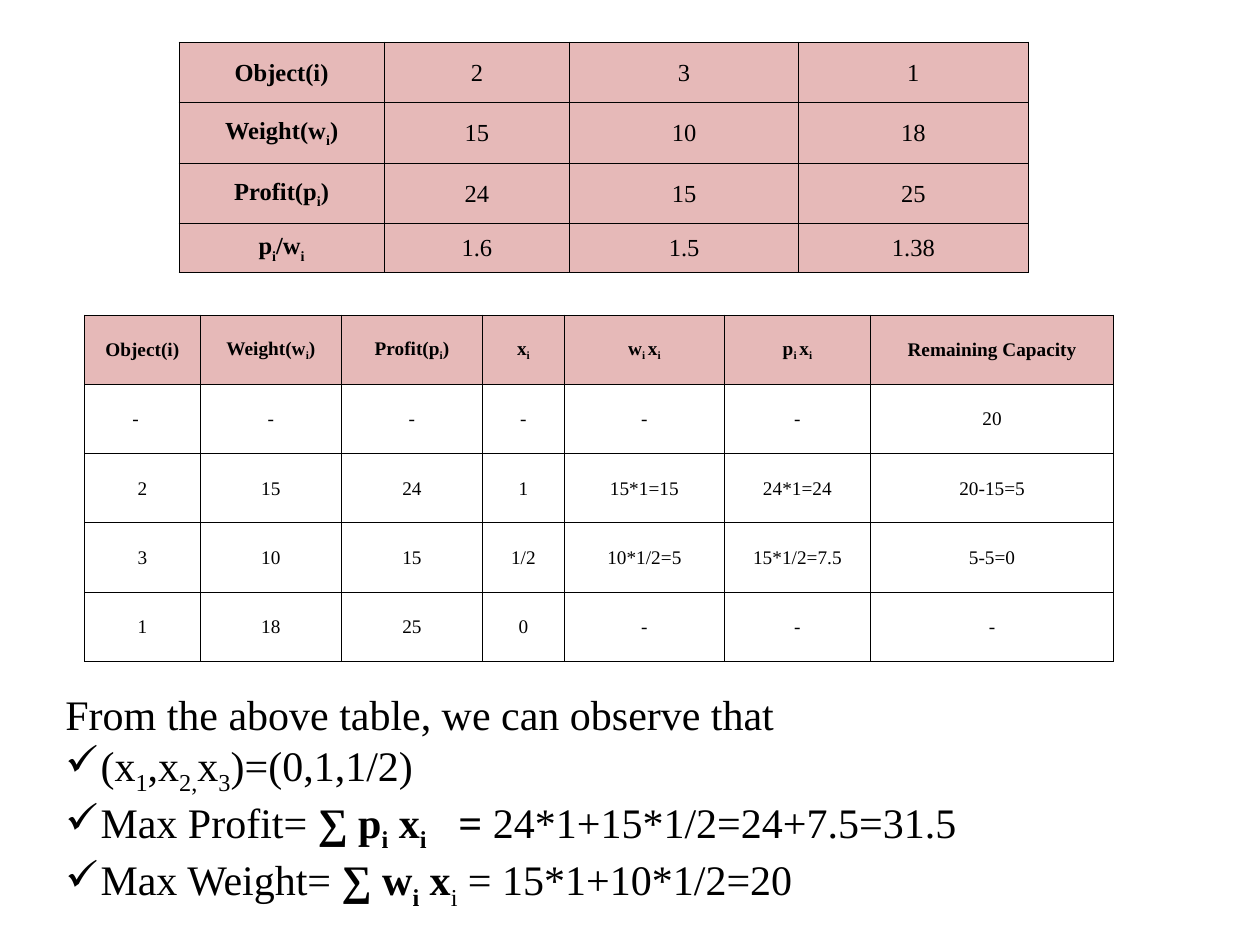
"""Build the fractional knapsack slide: two tables and the observed result."""
from dataclasses import dataclass

from lxml import etree
from pptx import Presentation
from pptx.dml.color import RGBColor
from pptx.enum.text import MSO_ANCHOR, PP_ALIGN
from pptx.oxml.ns import qn
from pptx.util import Inches, Pt

LEFT, CENTER = PP_ALIGN.LEFT, PP_ALIGN.CENTER
MIDDLE = MSO_ANCHOR.MIDDLE


@dataclass(frozen=True)
class Theme:
    font: str = "Times New Roman"
    ink: str = "000000"
    header: str = "E6B9B8"
    large: int = 24
    medium: int = 14
    small: int = 11
    border: float = 0.5


T = Theme()


def write(p, text, size, bold=False, align=LEFT):
    """Fill a paragraph; ^ toggles bold and | toggles subscript."""
    p.alignment = align
    for i, part in enumerate(text.split("^")):
        for j, piece in enumerate(part.split("|")):
            if not piece:
                continue
            r = p.add_run()
            r.text = piece
            r.font.name = T.font
            r.font.size = Pt(size)
            r.font.bold = bold != (i % 2 == 1)
            r.font.color.rgb = RGBColor.from_string(T.ink)
            if j % 2:
                r.font._element.set("baseline", "-25000")


def outline(cell):
    """Draw a thin line on each side of a table cell."""
    tc_pr = cell._tc.get_or_add_tcPr()
    for side in ("lnL", "lnR", "lnT", "lnB"):
        ln = etree.SubElement(tc_pr, qn(f"a:{side}"), w=str(Pt(T.border)))
        fill = etree.SubElement(ln, qn("a:solidFill"))
        etree.SubElement(fill, qn("a:srgbClr"), val=T.ink)


prs = Presentation()
prs.slide_width, prs.slide_height = Inches(10), Inches(7.5)
X, Y = prs.slide_width / 100, prs.slide_height / 100
s = prs.slides.add_slide(prs.slide_layouts[6])

TABLES = [
    dict(
        left=14.2, top=4.44, size=T.medium, head_rows=4, bold_rows=0, bold_cols=1,
        cols=[16.3, 14.7, 18.2, 18.2], rows=[6.4, 6.4, 6.4, 5.2],
        data=[
            ["Object(i)", "2", "3", "1"],
            ["Weight(w|i|)", "15", "10", "18"],
            ["Profit(p|i|)", "24", "15", "25"],
            ["p|i|/w|i|", "1.6", "1.5", "1.38"],
        ],
    ),
    dict(
        left=6.7, top=33.33, size=T.small, head_rows=1, bold_rows=1, bold_cols=0,
        cols=[9.2, 11.2, 11.2, 6.5, 12.7, 11.6, 19.3], rows=[7.33] * 5,
        data=[
            ["Object(i)", "Weight(w|i|)", "Profit(p|i|)", "x|i|", "w|i |x|i|",
             "p|i |x|i|", "Remaining Capacity"],
            ["-", "-", "-", "-", "-", "-", "20"],
            ["2", "15", "24", "1", "15*1=15", "24*1=24", "20-15=5"],
            ["3", "10", "15", "1/2", "10*1/2=5", "15*1/2=7.5", "5-5=0"],
            ["1", "18", "25", "0", "-", "-", "-"],
        ],
    ),
]

grids = []
for t in TABLES:
    frame = s.shapes.add_table(
        len(t["rows"]), len(t["cols"]), int(t["left"] * X), int(t["top"] * Y),
        int(sum(t["cols"]) * X), int(sum(t["rows"]) * Y))
    tbl = frame.table
    grids.append(tbl)
    tbl.first_row = tbl.horz_banding = False
    for col, width in zip(tbl.columns, t["cols"]):
        col.width = int(width * X)
    for row, height in zip(tbl.rows, t["rows"]):
        row.height = int(height * Y)
    for i, values in enumerate(t["data"]):
        for j, value in enumerate(values):
            cell = tbl.cell(i, j)
            cell.vertical_anchor = MIDDLE
            cell.margin_left = cell.margin_right = cell.margin_top = Inches(0.01)
            cell.margin_bottom = 0
            outline(cell)
            if i < t["head_rows"]:
                cell.fill.solid()
                cell.fill.fore_color.rgb = RGBColor.from_string(T.header)
            else:
                cell.fill.background()
            write(cell.text_frame.paragraphs[0], value, size=t["size"], align=CENTER,
                  bold=i < t["bold_rows"] or j < t["bold_cols"])

start = grids[1].cell(1, 0)
start.margin_left = int(3.8 * X)
start.text_frame.paragraphs[0].alignment = LEFT

RESULTS = [
    "(x|1|,x|2,|x|3|)=(0,1,1/2)",
    "Max Profit=^ ∑ p|i| x|i|\t= ^24*1+15*1/2=24+7.5=31.5",
    "Max Weight= ^∑ w|i| x^|i| = 15*1+10*1/2=20",
]
box = s.shapes.add_textbox(int(4.2 * X), int(72.22 * Y), int(91.7 * X), int(22.93 * Y))
tf = box.text_frame
tf.word_wrap = True
write(tf.paragraphs[0], "From the above table, we can observe that", size=T.large)
for text in RESULTS:
    p = tf.add_paragraph()
    p_pr = p._p.get_or_add_pPr()
    p_pr.set("marL", str(int(2.8 * X)))
    p_pr.set("indent", str(int(-2.8 * X)))
    etree.SubElement(p_pr, qn("a:buChar"), char="✓")
    if "\t" in text:
        tabs = etree.SubElement(p_pr, qn("a:tabLst"))
        etree.SubElement(tabs, qn("a:tab"), pos=str(int(31.2 * X)), algn="l")
    write(p, text, size=T.large)

prs.save("out.pptx")
